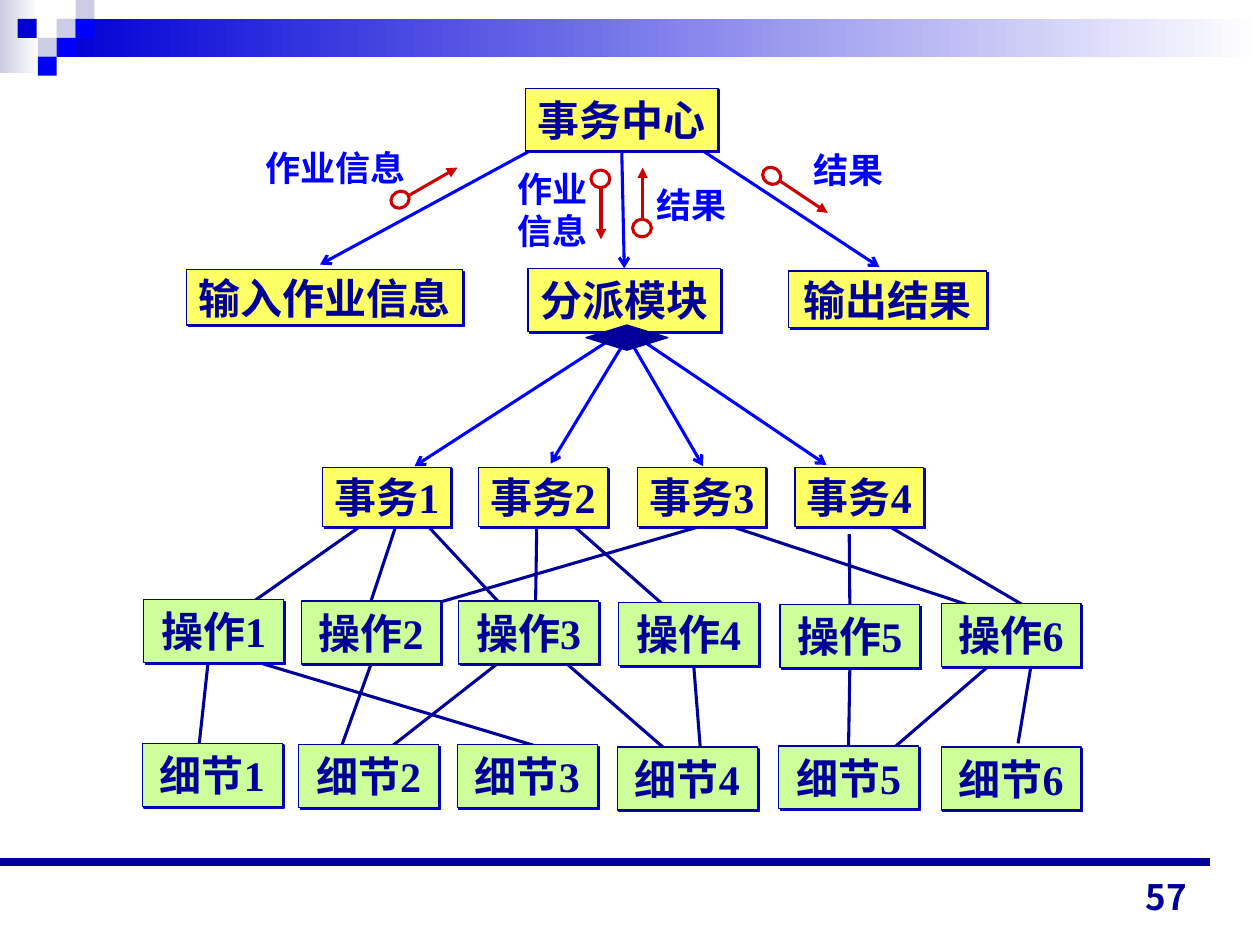
from lxml import etree
from pptx import Presentation, util as u
from pptx.dml.color import RGBColor
from pptx.enum import shapes, text
from pptx.oxml import ns

PX = 9144
NAVY = RGBColor(0x00, 0x00, 0x99)
ROYAL = RGBColor(0x00, 0x00, 0xD6)
BLUE = RGBColor(0x00, 0x00, 0xFF)
LAVENDER = RGBColor(0xCC, 0xCC, 0xE6)
RED = RGBColor(0xCC, 0x00, 0x00)
YELLOW = RGBColor(0xFF, 0xFF, 0x66)
GREEN = RGBColor(0xCC, 0xFF, 0x99)
WHITE = RGBColor(0xFF, 0xFF, 0xFF)
LATIN, HAN = "Times New Roman", "Noto Sans CJK JP"
SHAPE, ANCHOR, ALIGN = shapes.MSO_SHAPE, text.MSO_ANCHOR, text.PP_ALIGN
TOP, BOTTOM = 0, 2


class Chart:
    def __init__(self, slide):
        self.slide = slide
        self.boxes = {}
        self.joins = []

    def figure(self, kind, at, fill, line=None, weight=0.75, turn=0):
        figure = self.slide.shapes.add_shape(kind, *(v * PX for v in at))
        figure.shadow.inherit = False
        figure.rotation = turn
        figure.fill.solid()
        figure.fill.fore_color.rgb = fill
        if line is None:
            figure.line.fill.background()
        else:
            figure.line.color.rgb = line
            figure.line.width = u.Pt(weight)
        return figure

    def fade(self, at, color):
        band = self.figure(SHAPE.RECTANGLE, at, color)
        band.fill.gradient()
        band.fill.gradient_angle = 180
        for stop, shade, place in zip(band.fill.gradient_stops, (WHITE, color), (0, 1)):
            stop.color.rgb = shade
            stop.position = place

    def line(self, start, end, color=NAVY, head=None, weight=1.75, begin=None, finish=None):
        line = self.slide.shapes.add_connector(
            shapes.MSO_CONNECTOR.STRAIGHT, *(v * PX for v in (*start, *end)))
        line.line.color.rgb = color
        line.line.width = u.Pt(weight)
        if head:
            outline = line._element.spPr.find(ns.qn("a:ln"))
            etree.SubElement(outline, ns.qn("a:tailEnd"), type=head)
        etree.SubElement(line._element.spPr, ns.qn("a:effectLst"))
        self.joins.append((line, begin, finish))

    def join_lines(self):
        for line, begin, finish in self.joins:
            if begin:
                line.begin_connect(self.boxes[begin], BOTTOM)
            if finish:
                line.end_connect(self.boxes[finish], TOP)

    def fill_text(self, holder, lines, size, color, align, anchor, wrap=False, latin=LATIN):
        frame = holder.text_frame
        frame.word_wrap = wrap
        frame.auto_size = text.MSO_AUTO_SIZE.NONE
        frame.vertical_anchor = anchor
        for i, words in enumerate(lines):
            paragraph = frame.add_paragraph() if i else frame.paragraphs[0]
            paragraph.alignment = align
            run = paragraph.add_run()
            run.text = words
            run.font.size = u.Pt(size)
            run.font.bold = True
            run.font.name = latin
            run.font.color.rgb = color
            etree.SubElement(run._r.get_or_add_rPr(), ns.qn("a:ea"), typeface=HAN)

    def box(self, name, at, fill, anchor=ANCHOR.MIDDLE):
        box = self.figure(SHAPE.RECTANGLE, at, fill, NAVY)
        effects = box._element.spPr.find(ns.qn("a:effectLst"))
        shadow = etree.SubElement(effects, ns.qn("a:outerShdw"), dist="17961",
                                  dir="2700000", algn="ctr", rotWithShape="0")
        etree.SubElement(shadow, ns.qn("a:srgbClr"), val=str(ROYAL))
        self.fill_text(box, [name], 24, NAVY, ALIGN.CENTER, anchor)
        self.boxes[name] = box

    def label(self, lines, at, color=BLUE, align=ALIGN.LEFT, anchor=ANCHOR.TOP,
              wrap=False, latin=LATIN):
        label = self.slide.shapes.add_textbox(*(v * PX for v in at))
        self.fill_text(label, lines, 20, color, align, anchor, wrap, latin)

    def flow(self, start, end, ring, turn=0):
        self.line(start, end, RED, "triangle")
        self.figure(SHAPE.OVAL, ring, WHITE, RED, 1.75, turn)


def draw_frame(chart):
    chart.fade((0, 0, 31, 58), LAVENDER)
    chart.fade((45, 15, 955, 30), ROYAL)
    tiles = [(45, 15, LAVENDER), (60, 0, LAVENDER), (60, 15, BLUE), (30, 30, LAVENDER),
             (14, 15, ROYAL), (45, 30, BLUE), (30, 45, BLUE)]
    for left, top, color in tiles:
        chart.figure(SHAPE.RECTANGLE, (left, top, 15, 15), color)
    chart.line((0, 684), (960, 684), weight=4.5)


def draw_links(chart):
    operation_details = [
        ((166, 518), (157, 601)), ((186, 520), (425, 592)),
        ((295, 521), (269, 598), "操作2"), ((406, 518), (310, 593)),
        ((442, 520), (532, 598)), ((550, 521), (556, 596)),
        ((675, 524), (676, 593), "操作5", "细节5"),
        ((790, 524), (703, 599)), ((819, 524), (808, 590))]
    transaction_operations = [
        ((287, 417), (196, 481)), ((456, 418), (531, 484)), ((340, 418), (396, 478)),
        ((426, 418), (425, 483)), ((314, 418), (293, 482), None, "操作2"),
        ((555, 418), (318, 487)), ((674, 424), (674, 483), None, "操作5"),
        ((701, 415), (815, 482)), ((581, 418), (771, 481))]
    calls = [
        ((496, 261), (656, 369)), ((502, 261), (437, 368)), ((493, 264), (329, 370)),
        ((490, 253), (558, 370)), ((492, 102), (492, 213), "事务中心", "分派模块"),
        ((446, 106), (254, 210)), ((537, 106), (698, 212))]
    for start, end, *ends in operation_details + transaction_operations:
        chart.line(start, end, NAVY, None, 1.75, *ends)
    for start, end, *ends in calls:
        chart.line(start, end, BLUE, "arrow", 1.75, *ends)


def draw_modules(chart):
    chart.box("事务中心", (417, 70, 153, 50), YELLOW, ANCHOR.TOP)
    chart.box("分派模块", (419, 213, 153, 50), YELLOW, ANCHOR.TOP)
    chart.box("输出结果", (626, 215, 157, 45), YELLOW)
    chart.box("输入作业信息", (148, 214, 219, 44), YELLOW)
    for number, left in enumerate((256, 380, 506, 631), 1):
        chart.box(f"事务{number}", (left, 371, 102, 47), YELLOW)

    chart.flow((477, 148), (477, 190), (469, 135, 15, 14))
    chart.flow((510, 175), (510, 133), (502, 174, 15, 14))
    chart.flow((323, 156), (363, 133), (311, 151, 13, 15), 59.2)
    chart.flow((618, 143), (657, 169), (606, 132, 13, 15), 303.1)
    chart.figure(SHAPE.DIAMOND, (465, 258, 65, 20), NAVY, NAVY)

    chart.label(["作业信息"], (201, 111, 131, 44))
    chart.label(["作业", "信息"], (401, 128, 75, 77))
    chart.label(["结果"], (636, 113, 75, 44))
    chart.label(["结果"], (511, 141, 75, 44))

    rows = [("操作", (114, 239, 364, 491, 619, 747), (476, 477, 477, 478, 480, 479)),
            ("细节", (113, 237, 363, 490, 618, 747), (590, 591, 591, 593, 592, 593))]
    for level, lefts, tops in rows:
        for number, (left, top) in enumerate(zip(lefts, tops), 1):
            chart.box(f"{level}{number}", (left, top, 111, 50), GREEN, ANCHOR.TOP)


def main():
    deck = Presentation()
    deck.slide_width, deck.slide_height = 1000 * PX, 750 * PX
    chart = Chart(deck.slides.add_slide(deck.slide_layouts[6]))
    draw_frame(chart)
    draw_links(chart)
    draw_modules(chart)
    chart.join_lines()
    chart.label(["57"], (719, 683, 233, 50), NAVY, ALIGN.RIGHT, ANCHOR.BOTTOM, True, HAN)
    deck.save("out.pptx")


if __name__ == "__main__":
    main()
